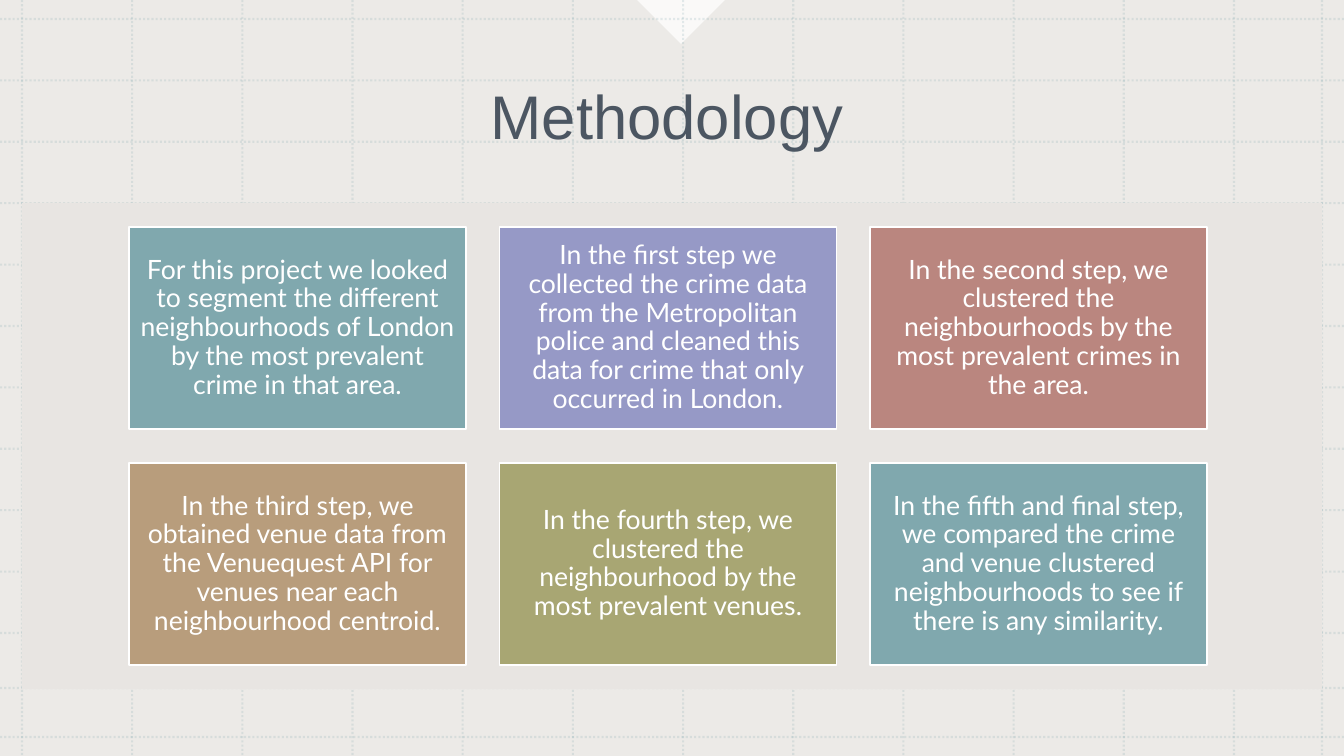
from pptx import Presentation
from pptx import util as u
from pptx.dml.color import RGBColor
from pptx.enum import dml, shapes, text
from pptx.oxml import ns
from lxml import etree

PX = 914400 / 100.8
WIDTH, HEIGHT = 1344, 756

WHITE = RGBColor(0xFF, 0xFF, 0xFF)
SAND = RGBColor(0xE8, 0xE5, 0xE2)
NAVY = RGBColor(0x24, 0x32, 0x41)
TEAL = RGBColor(0x80, 0xA8, 0xAE)
LILAC = RGBColor(0x96, 0x99, 0xC6)
ROSE = RGBColor(0xBA, 0x86, 0x7F)
TAN = RGBColor(0xB8, 0x9D, 0x7C)
OLIVE = RGBColor(0xA8, 0xA6, 0x73)

STEPS = [
    (TEAL, "For this project we looked to segment the different neighbourhoods of London by the most prevalent crime in that area."),
    (LILAC, "In the first step we collected the crime data from the Metropolitan police and cleaned this data for crime that only occurred in London."),
    (ROSE, "In the second step, we clustered the neighbourhoods by the most prevalent crimes in the area."),
    (TAN, "In the third step, we obtained venue data from the Venuequest API for venues near each neighbourhood centroid."),
    (OLIVE, "In the fourth step, we clustered the neighbourhood by the most prevalent venues."),
    (TEAL, "In the fifth and final step, we compared the crime and venue clustered neighbourhoods to see if there is any similarity."),
]


def px(length):
    return u.Emu(round(length * PX))


def set_opacity(element, percent):
    for color in element.iter(ns.qn("a:srgbClr")):
        etree.SubElement(color, ns.qn("a:alpha"), val=str(percent * 1000))


def add_block(slide, box, color, opacity=100, kind=shapes.MSO_SHAPE.RECTANGLE):
    shape = slide.shapes.add_shape(kind, *map(px, box))
    shape.shadow.inherit = False
    shape.fill.solid()
    shape.fill.fore_color.rgb = color
    shape.line.fill.background()
    if opacity < 100:
        set_opacity(shape.element, opacity)
    return shape


def add_grid_line(slide, start, end):
    line = slide.shapes.add_connector(
        shapes.MSO_CONNECTOR.STRAIGHT, *map(px, start + end))
    line.line.color.rgb = TEAL
    line.line.width = u.Pt(1.5)
    line.line.dash_style = dml.MSO_LINE.ROUND_DOT
    set_opacity(line.element, 20)
    etree.SubElement(line.element.spPr, ns.qn("a:effectLst"))


def add_backdrop(slide, box):
    left, top, width, height = box
    slide.background.fill.solid()
    slide.background.fill.fore_color.rgb = WHITE
    add_block(slide, box, SAND, 80)
    notch = add_block(slide, (left + 650, top - 31, 62, 62), WHITE, 75,
                      shapes.MSO_SHAPE.RIGHT_TRIANGLE)
    notch.rotation = 315
    columns = [22 + 1212 * i / 11 for i in range(12)] + [1322]
    rows = [19 + 614 * i / 10 for i in range(11)] + [688, 737]
    for x in columns:
        add_grid_line(slide, (left + x, top), (left + x, top + height))
    for y in rows:
        add_grid_line(slide, (left, top + y), (left + width, top + y))


def format_text(frame, font_name, size, color):
    frame.word_wrap = True
    frame.auto_size = text.MSO_AUTO_SIZE.NONE
    frame.vertical_anchor = text.MSO_ANCHOR.MIDDLE
    for paragraph in frame.paragraphs:
        paragraph.alignment = text.PP_ALIGN.CENTER
        paragraph.line_spacing = 0.9
        for run in paragraph.runs:
            run.font.name = font_name
            run.font.size = u.Pt(size)
            run.font.color.rgb = color


def place_title(slide, box, wording):
    title = slide.shapes.title
    title.left, title.top, title.width, title.height = map(px, box)
    title.text_frame.text = wording
    format_text(title.text_frame, "Arial", 44, NAVY)
    set_opacity(title.element, 80)
    return title


def add_step_cards(slide, box, steps, columns=3):
    left, top, width, height = box
    card_width, card_height = 337, 202
    step_x = (width - card_width) / (columns - 1)
    step_y = height - card_height
    for index, (color, wording) in enumerate(steps):
        row, column = divmod(index, columns)
        card = add_block(slide, (left + column * step_x, top + row * step_y,
                                 card_width, card_height), color)
        card.line.color.rgb = WHITE
        card.line.width = u.Pt(1)
        frame = card.text_frame
        frame.text = wording
        frame.margin_left = frame.margin_right = px(8)
        frame.margin_top = frame.margin_bottom = px(8)
        format_text(frame, "Lato", 19, WHITE)


def build_methodology(presentation):
    slide = presentation.slides.add_slide(presentation.slide_layouts[5])
    add_backdrop(slide, (0, 0, WIDTH, HEIGHT))
    panel = add_block(slide, (22, 203, 1300, 486), SAND)
    title = place_title(slide, (33, 37, 1268, 165), "Methodology")
    panel.element.addnext(title.element)
    add_step_cards(slide, (129, 227, 1078, 438), STEPS)


def main():
    presentation = Presentation()
    presentation.slide_width = px(WIDTH)
    presentation.slide_height = px(HEIGHT)
    build_methodology(presentation)
    presentation.save("out.pptx")


if __name__ == "__main__":
    main()
